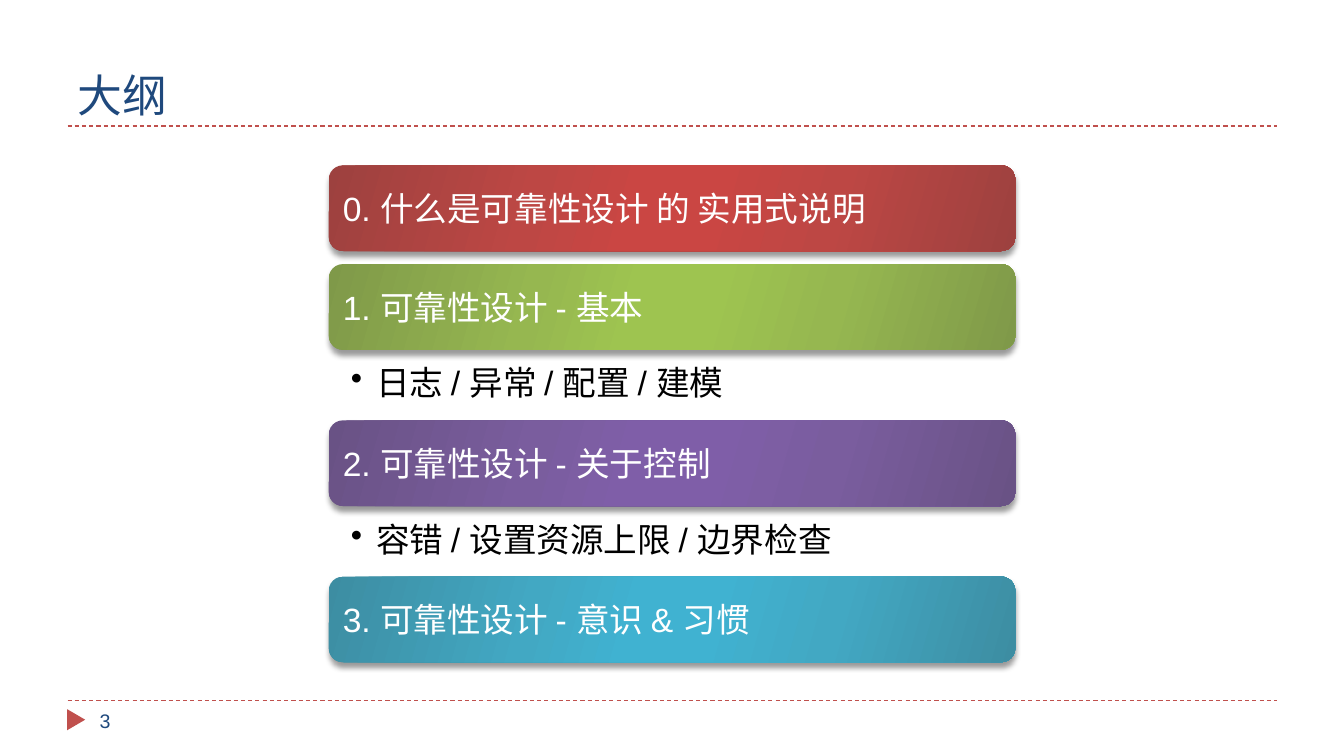
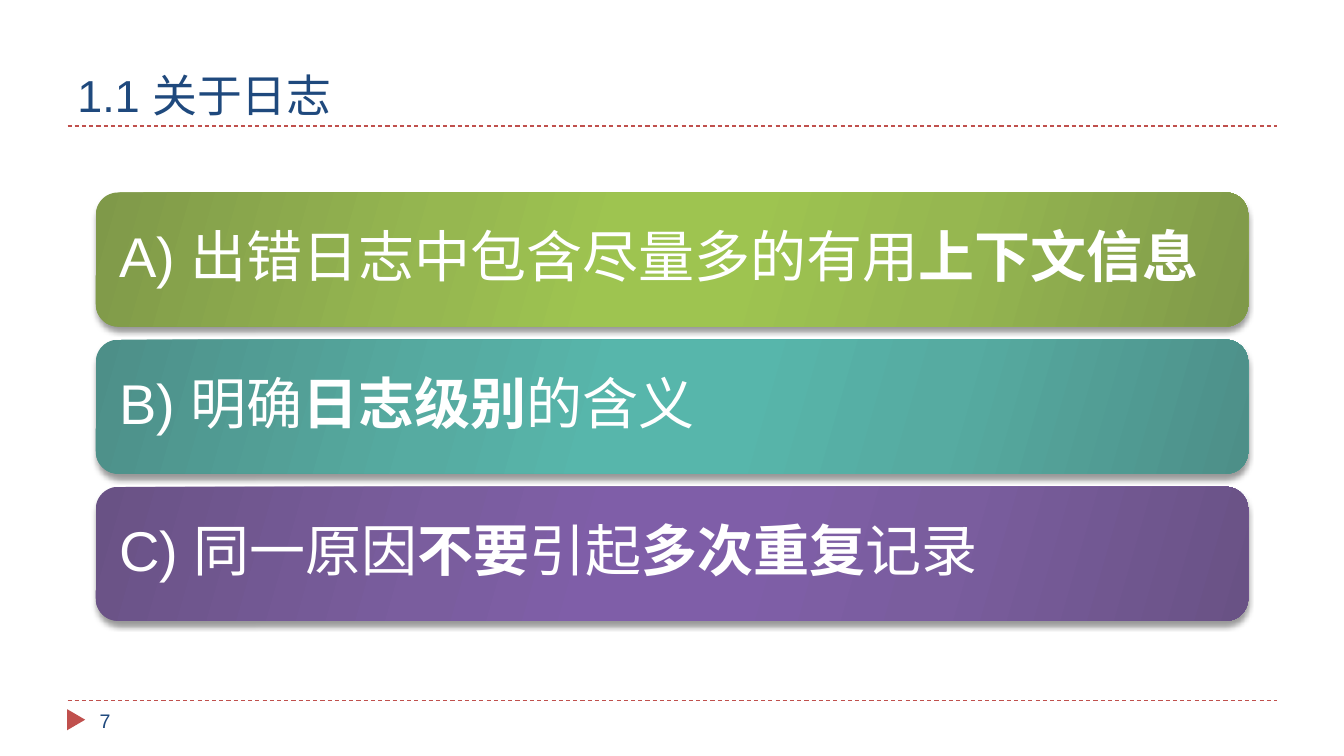
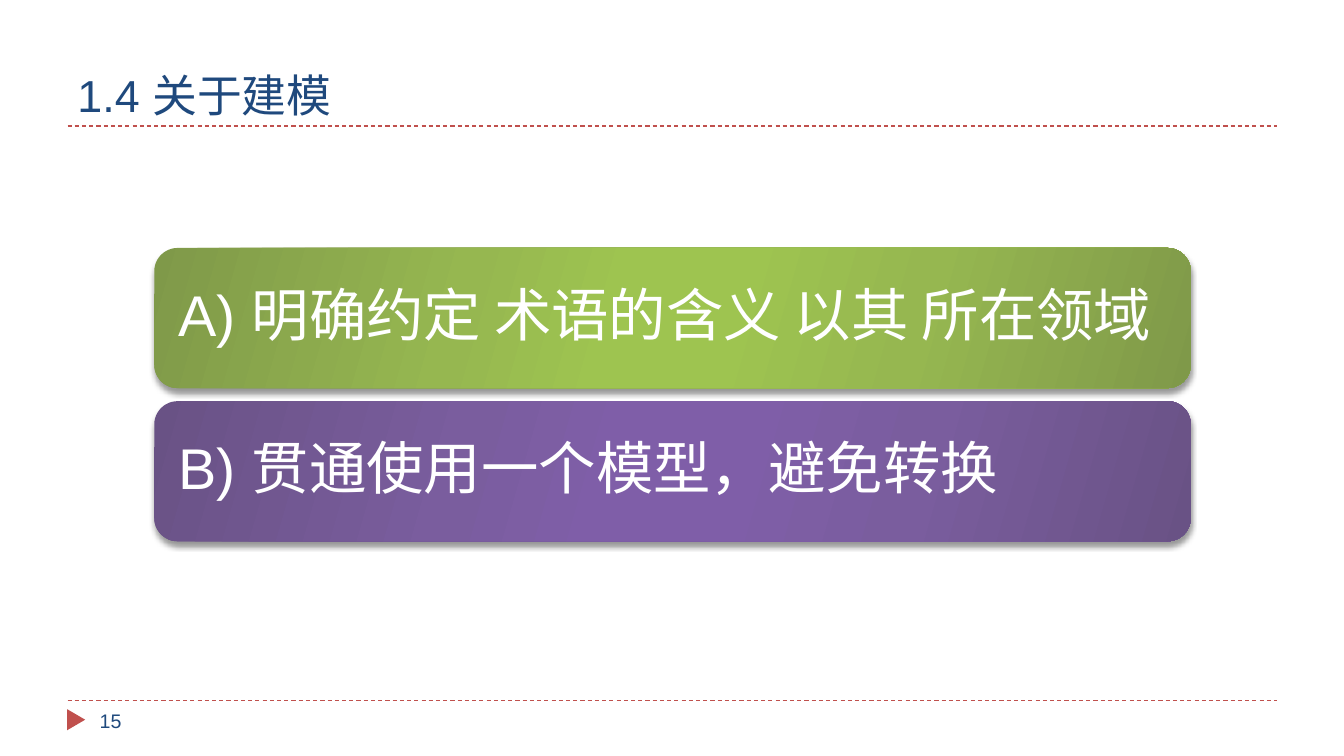
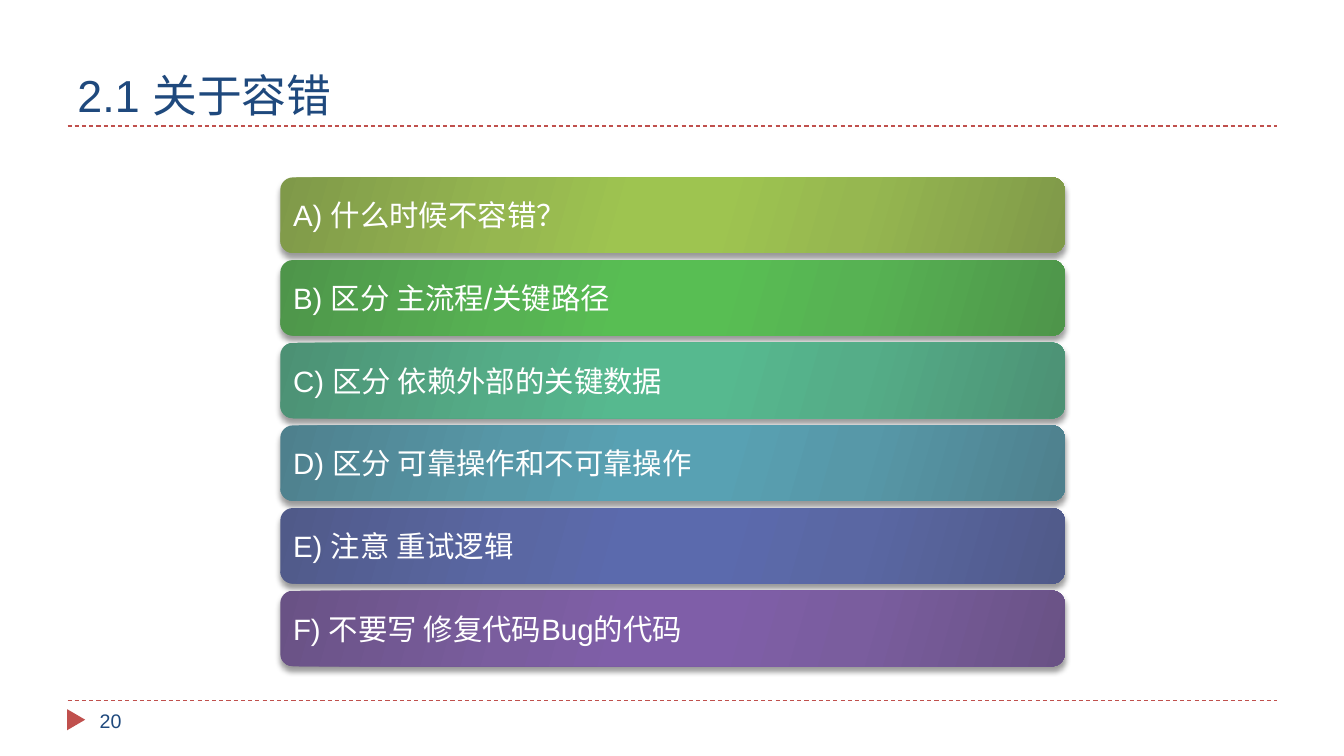
"""Build four outline slides on reliability design."""
from dataclasses import dataclass

import pptx
from lxml import etree
from pptx import util as u
from pptx.dml.color import RGBColor
from pptx.enum import dml, shapes, text
from pptx.oxml.ns import qn

SCALE = 9144
WIDE, HIGH = 1333, 750
FONT = "Arial"
NAVY = RGBColor(0x1F, 0x49, 0x7D)
BRICK = RGBColor(0xC0, 0x50, 0x4D)
WHITE = RGBColor(0xFF, 0xFF, 0xFF)
BLACK = RGBColor(0, 0, 0)


@dataclass(frozen=True)
class Tone:
    dark: RGBColor
    mid: RGBColor
    light: RGBColor


RED = Tone(RGBColor(0x9D, 0x41, 0x3F), RGBColor(0xBD, 0x47, 0x44), RGBColor(0xCA, 0x46, 0x43))
LIME = Tone(RGBColor(0x7F, 0x99, 0x49), RGBColor(0x96, 0xB7, 0x50), RGBColor(0x9E, 0xC4, 0x50))
PURPLE = Tone(RGBColor(0x69, 0x52, 0x85), RGBColor(0x7A, 0x5D, 0x9E), RGBColor(0x7F, 0x5E, 0xA8))
CYAN = Tone(RGBColor(0x3D, 0x8D, 0xA2), RGBColor(0x42, 0xA8, 0xC3), RGBColor(0x40, 0xB2, 0xD1))
TEAL = Tone(RGBColor(0x4D, 0x8F, 0x88), RGBColor(0x56, 0xAB, 0xA1), RGBColor(0x57, 0xB6, 0xAB))
GREEN = Tone(RGBColor(0x4E, 0x95, 0x4A), RGBColor(0x57, 0xB2, 0x53), RGBColor(0x58, 0xBE, 0x53))
MINT = Tone(RGBColor(0x4C, 0x91, 0x74), RGBColor(0x55, 0xAD, 0x88), RGBColor(0x56, 0xB9, 0x8F))
STEEL = Tone(RGBColor(0x4E, 0x80, 0x8D), RGBColor(0x57, 0x98, 0xA8), RGBColor(0x58, 0xA1, 0xB3))
BLUE = Tone(RGBColor(0x50, 0x5A, 0x89), RGBColor(0x5A, 0x67, 0xA3), RGBColor(0x5B, 0x6A, 0xAD))


@dataclass(frozen=True)
class Bar:
    words: str
    tone: Tone
    note: str = ""


@dataclass(frozen=True)
class Page:
    title: str
    number: int
    left: int
    top: int
    width: int
    height: int
    gap: int
    inset: int
    size: int
    lead: float
    bars: tuple[Bar, ...]


NOTE_H = 70

PAGES = (
    Page("大纲", 3, 326, 164, 681, 85, 13, 10, 24, 1.0, (
        Bar("0. 什么是可靠性设计 的 实用式说明", RED),
        Bar("1. 可靠性设计 - 基本", LIME, "日志 / 异常 / 配置 / 建模"),
        Bar("2. 可靠性设计 - 关于控制", PURPLE, "容错 / 设置资源上限 / 边界检查"),
        Bar("3. 可靠性设计 - 意识 & 习惯", CYAN),
    )),
    Page("1.1 关于日志", 7, 95, 191, 1143, 133, 13, 17, 40, 0.9, (
        Bar("A) 出错日志中包含尽量多的有用**上下文信息**", LIME),
        Bar("B) 明确**日志级别**的含义", TEAL),
        Bar("C) 同一原因**不要**引起**多次重复**记录", PURPLE),
    )),
    Page("1.4 关于建模", 15, 153, 246, 1028, 139, 13, 17, 41, 0.9, (
        Bar("A) 明确约定 术语的含义 以其 所在领域", LIME),
        Bar("B) 贯通使用一个模型，避免转换", PURPLE),
    )),
    Page("2.1 关于容错", 20, 278, 176, 778, 75, 7, 9, 21, 1.0, (
        Bar("A) 什么时候不容错？", LIME),
        Bar("B) 区分 主流程/关键路径", GREEN),
        Bar("C) 区分 依赖外部的关键数据", MINT),
        Bar("D) 区分 可靠操作和不可靠操作", STEEL),
        Bar("E) 注意 重试逻辑", BLUE),
        Bar("F) 不要写 修复代码Bug的代码", PURPLE),
    )),
)


def px(*vals: int) -> list[u.Emu]:
    """Turn pixels into EMU."""
    return [u.Emu(val * SCALE) for val in vals]


def add(root, tag: str, **attrs):
    """Append a drawing element."""
    return etree.SubElement(root, qn(tag), {key: str(val) for key, val in attrs.items()})


def write(shape, words: str, size: int, color: RGBColor, insets=(10, 5, 10, 5),
          anchor=text.MSO_ANCHOR.MIDDLE, lead: float = 1.0, bullet: bool = False) -> None:
    """Fill a shape with one paragraph; double stars mark bold."""
    frame = shape.text_frame
    frame.word_wrap = True
    frame.vertical_anchor = anchor
    (frame.margin_left, frame.margin_top,
     frame.margin_right, frame.margin_bottom) = px(*insets)
    para = frame.paragraphs[0]
    para.alignment = text.PP_ALIGN.LEFT
    if lead != 1:
        para.line_spacing = lead
    if bullet:
        props = para._p.get_or_add_pPr()
        props.set("marL", str(25 * SCALE))
        props.set("indent", str(-25 * SCALE))
        add(props, "a:buChar", char="•")
    font = para.font
    font.name, font.size, font.color.rgb = FONT, u.Pt(size), color
    for i, part in enumerate(words.split("**")):
        if part:
            run = para.add_run()
            run.text = part
            if i % 2:
                run.font.bold = True


def shade(shape, tone: Tone) -> None:
    """Give a bar its gradient and soft shadow."""
    shape.fill.gradient()
    shape.line.fill.background()
    shape.shadow.inherit = False
    props = shape._element.spPr
    grad = props.find(qn("a:gradFill"))
    stops = grad.find(qn("a:gsLst"))
    for stop in list(stops):
        stops.remove(stop)
    colors = (tone.dark, tone.mid, tone.light, tone.light, tone.mid, tone.dark)
    for pos, color in zip((0, 30, 45, 55, 73, 100), colors):
        add(add(stops, "a:gs", pos=pos * 1000), "a:srgbClr", val=color)
    line = grad.find(qn("a:lin"))
    line.set("ang", str(16 * 60000))
    line.set("scaled", "0")
    glow = add(props.find(qn("a:effectLst")), "a:outerShdw", blurRad=u.Pt(4),
               dist=u.Pt(3.4), dir=90 * 60000, rotWithShape=0)
    add(add(glow, "a:srgbClr", val=BLACK), "a:alpha", val=40000)


def frame(slide, page: Page) -> None:
    """Draw the rules, marker, title and page number."""
    for y in (695, 125):
        rule = slide.shapes.add_connector(shapes.MSO_CONNECTOR.STRAIGHT, *px(67, y, 1267, y))
        rule.line.color.rgb = BRICK
        rule.line.width = u.Pt(0.75)
        rule.line.dash_style = dml.MSO_LINE.DASH
        add(rule._element.spPr, "a:effectLst")
    mark = slide.shapes.add_shape(shapes.MSO_SHAPE.ISOSCELES_TRIANGLE, *px(65, 705, 21, 18))
    mark.rotation = 90
    mark.shadow.inherit = False
    mark.fill.solid()
    mark.fill.fore_color.rgb = BRICK
    mark.line.fill.background()
    title = slide.shapes.add_textbox(*px(67, 17, 1200, 108))
    write(title, page.title, 32, NAVY, anchor=text.MSO_ANCHOR.BOTTOM)
    number = slide.shapes.add_textbox(*px(89, 695, 289, 40))
    write(number, str(page.number), 14, NAVY)


def stack(slide, page: Page) -> None:
    """Draw the bars and their notes from top to bottom."""
    y = page.top
    for bar in page.bars:
        box = slide.shapes.add_shape(shapes.MSO_SHAPE.ROUNDED_RECTANGLE,
                                     *px(page.left, y, page.width, page.height))
        shade(box, bar.tone)
        write(box, bar.words, page.size, WHITE, (page.inset,) * 4, lead=page.lead)
        y += page.height
        if bar.note:
            note = slide.shapes.add_textbox(*px(page.left, y, page.width, NOTE_H))
            write(note, bar.note, page.size, BLACK, (22, 3, 19, 3), lead=0.9, bullet=True)
            y += NOTE_H
        else:
            y += page.gap


def main() -> None:
    """Build and save the deck."""
    deck = pptx.Presentation()
    deck.slide_width, deck.slide_height = px(WIDE, HIGH)
    for page in PAGES:
        slide = deck.slides.add_slide(deck.slide_layouts[6])
        frame(slide, page)
        stack(slide, page)
    deck.save("out.pptx")


if __name__ == "__main__":
    main()
